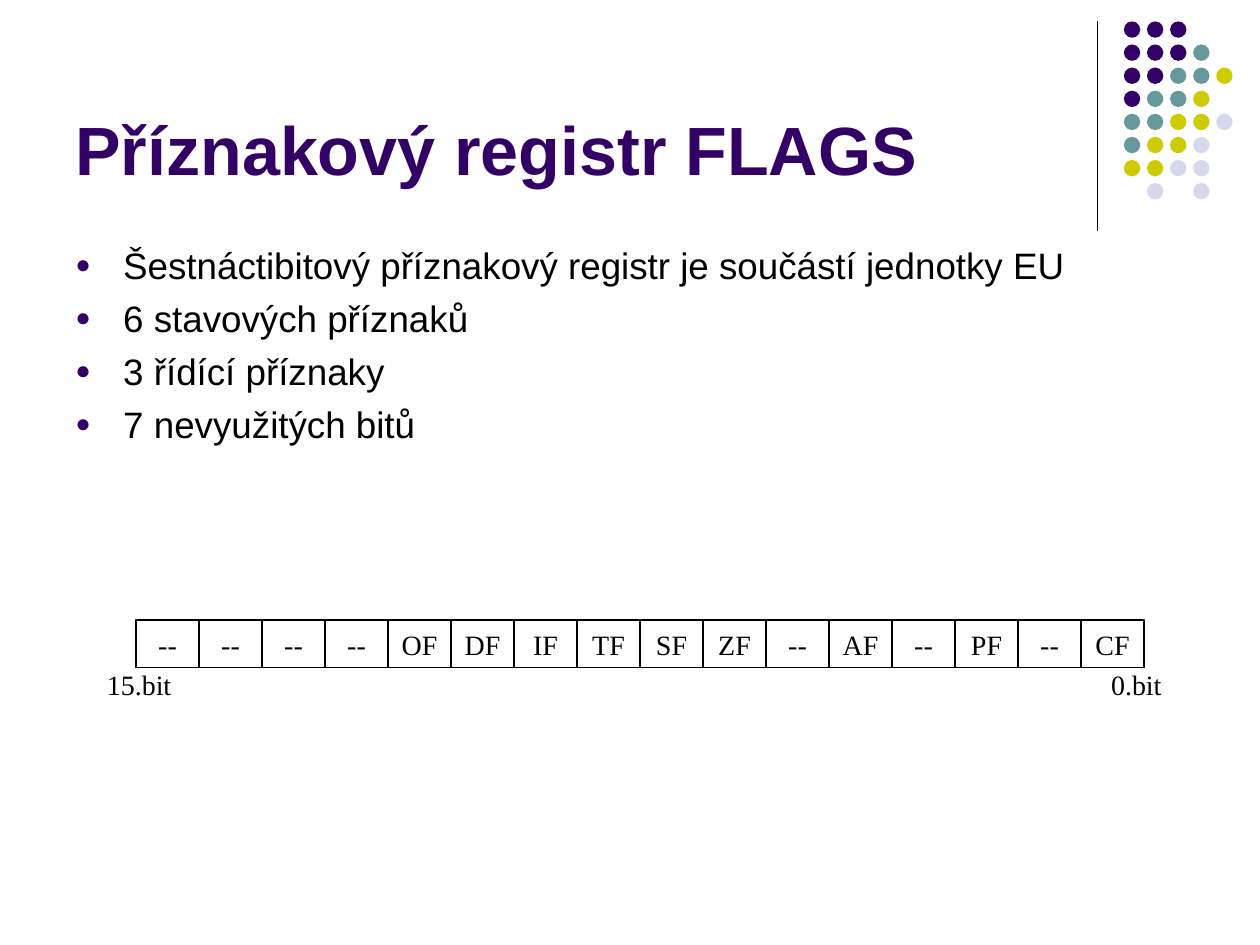
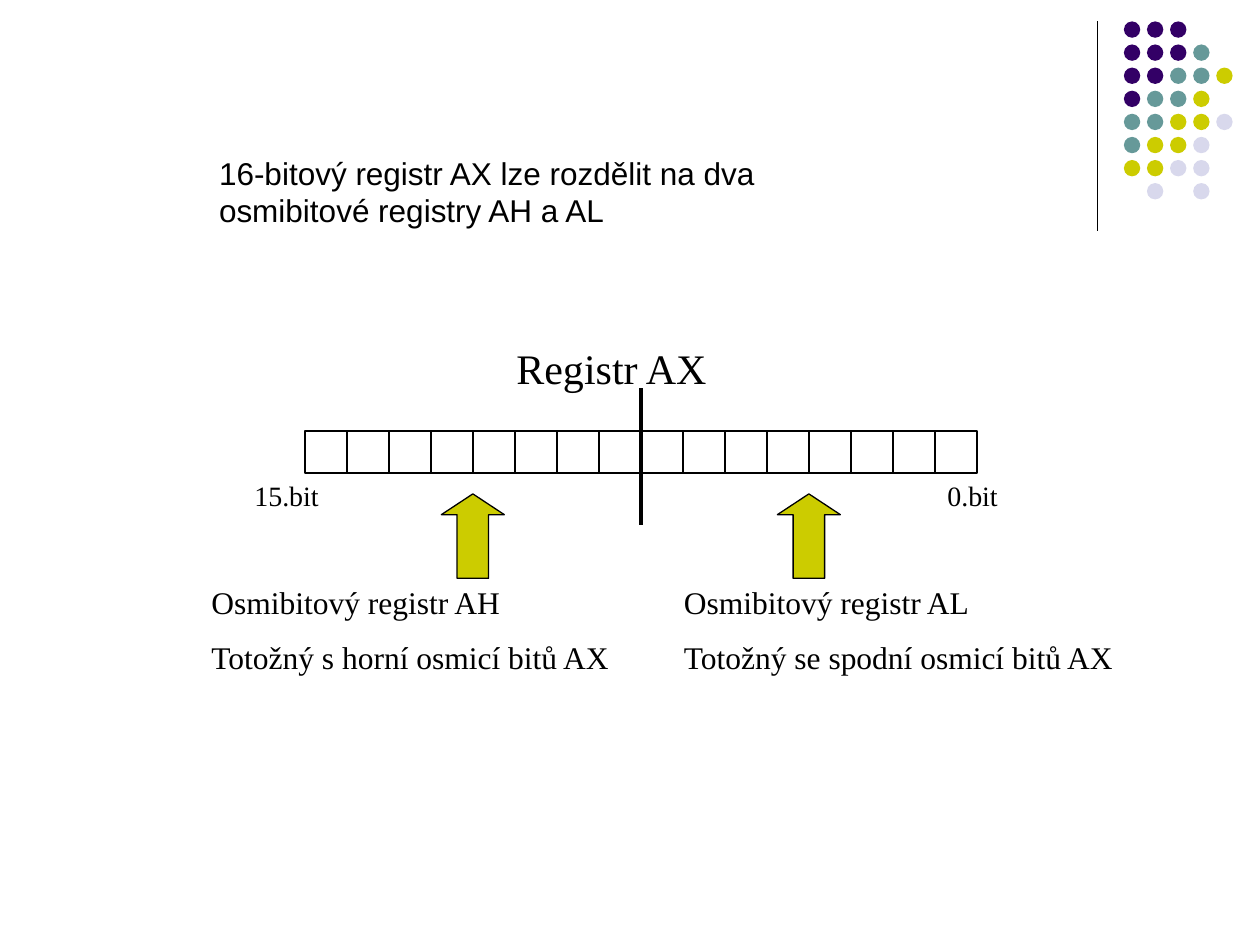
"""Builds two slides on the FLAGS register and the split of register AX."""
from lxml.etree import SubElement
from pptx import Presentation
from pptx.dml.color import RGBColor
from pptx.enum.shapes import MSO_CONNECTOR, MSO_SHAPE
from pptx.enum.text import MSO_ANCHOR, PP_ALIGN
from pptx.oxml.ns import qn
from pptx.util import Inches, Pt

SANS, SERIF = "Arial", "Times New Roman"
BLACK, PURPLE, TEAL, LIME, PALE = "000000", "330066", "669999", "CCCC00", "D8D8EC"

DOTS = ["PPP", "PPPT", "PPTTL", "PTTL", "TTLLG", "TLLG", "LLGG", " G G"]
TINTS = {"P": PURPLE, "T": TEAL, "L": LIME, "G": PALE}

TITLE = "Příznakový registr FLAGS"
POINTS = [
    "Šestnáctibitový příznakový registr je součástí jednotky EU",
    "6 stavových příznaků",
    "3 řídící příznaky",
    "7 nevyužitých bitů",
]
FLAGS = ["--", "--", "--", "--", "OF", "DF", "IF", "TF",
         "SF", "ZF", "--", "AF", "--", "PF", "--", "CF"]
FLAG_ENDS = [("15.bit", 0.75), ("0.bit", 8.72)]

INTRO = "16-bitový registr AX lze rozdělit na dva osmibitové registry AH a AL"
AX_NAME = "Registr AX"
AX_ENDS = [("15.bit", 1.92), ("0.bit", 7.42)]
HALVES = [
    (["Osmibitový registr AH", "Totožný s horní osmicí bitů AX"], 1.58, 3.58),
    (["Osmibitový registr AL", "Totožný se spodní osmicí bitů AX"], 5.33, 4.17),
]


def color(code):
    return RGBColor.from_string(code)


def write(frame, lines, size=16, font=SERIF, ink=BLACK, bold=False, gap=0,
          align=PP_ALIGN.LEFT, anchor=MSO_ANCHOR.TOP, wrap=True, bullet=None):
    frame.word_wrap = wrap
    frame.vertical_anchor = anchor
    for i, line in enumerate(lines):
        para = frame.paragraphs[0] if i == 0 else frame.add_paragraph()
        para.alignment = align
        para.space_before = Pt(gap if i else 0)
        run = para.add_run()
        run.text = line
        run.font.size, run.font.name, run.font.bold = Pt(size), font, bold
        run.font.color.rgb = color(ink)
        if bullet:
            mark(para, bullet)


def mark(para, tint):
    props = para._p.get_or_add_pPr()
    props.set("marL", str(Inches(0.38)))
    props.set("indent", str(-Inches(0.38)))
    SubElement(SubElement(props, qn("a:buClr")), qn("a:srgbClr"), val=tint)
    SubElement(props, qn("a:buSzPct"), val="70000")
    SubElement(props, qn("a:buFont"), typeface=SANS)
    SubElement(props, qn("a:buChar"), char="●")


def text(slide, lines, x, y, w, h, **style):
    box = slide.shapes.add_textbox(Inches(x), Inches(y), Inches(w), Inches(h))
    write(box.text_frame, lines, **style)


def draw(slide, kind, x, y, w, h, fill=None, edge=None):
    shape = slide.shapes.add_shape(kind, Inches(x), Inches(y), Inches(w), Inches(h))
    shape.shadow.inherit = False
    if fill:
        shape.fill.solid()
        shape.fill.fore_color.rgb = color(fill)
    else:
        shape.fill.background()
    if edge:
        shape.line.color.rgb = color(edge)
        shape.line.width = Pt(0.75)
    else:
        shape.line.fill.background()
    return shape


def rule(slide, x, top, end, width):
    line = slide.shapes.add_connector(
        MSO_CONNECTOR.STRAIGHT, Inches(x), Inches(top), Inches(x), Inches(end))
    line.line.color.rgb = color(BLACK)
    line.line.width = Pt(width)
    SubElement(line._element.spPr, qn("a:effectLst"))


def cells(slide, labels, x, y, w, h):
    for i, label in enumerate(labels):
        cell = draw(slide, MSO_SHAPE.RECTANGLE, x + i * w, y, w, h, edge=BLACK)
        if label:
            write(cell.text_frame, [label], align=PP_ALIGN.CENTER,
                  anchor=MSO_ANCHOR.MIDDLE, wrap=False)


def start(deck):
    slide = deck.slides.add_slide(deck.slide_layouts[6])
    rule(slide, 8.71, 0.17, 1.83, 0.75)
    step = 0.55 / 3
    for row, line in enumerate(DOTS):
        for col, key in enumerate(line):
            if key in TINTS:
                draw(slide, MSO_SHAPE.OVAL, 8.92 + col * step, 0.17 + row * step,
                     0.13, 0.13, fill=TINTS[key])
    return slide


def flags(deck):
    slide = start(deck)
    text(slide, [TITLE], 0.5, 0.13, 8.25, 1.42, size=39, font=SANS, ink=PURPLE,
         bold=True, anchor=MSO_ANCHOR.BOTTOM)
    text(slide, POINTS, 0.5, 1.88, 9, 2.23, size=21, font=SANS, gap=5, bullet=PURPLE)
    cells(slide, FLAGS, 1.08, 4.92, 0.5, 0.38)
    for label, x in FLAG_ENDS:
        text(slide, [label], x, 5.25, 0.75, 0.37)


def split(deck):
    slide = start(deck)
    left, side = 2.42, 1 / 3
    cells(slide, [""] * 16, left, 3.42, side, side)
    for label, x in AX_ENDS:
        text(slide, [label], x, 3.75, 1.08, 0.37)
    text(slide, [AX_NAME], 4, 2.67, 2.25, 0.5, size=24)
    rule(slide, left + 8 * side, 3.08, 4.17, 2)
    for i, (lines, x, w) in enumerate(HALVES):
        text(slide, lines, x, 4.58, w, 0.85, size=18, gap=9.5)
        mid = left + (4 + 8 * i) * side
        arrow = draw(slide, MSO_SHAPE.UP_ARROW, mid - 0.25, 3.92, 0.5, 0.67,
                     fill=LIME, edge=BLACK)
        arrow.adjustments[0], arrow.adjustments[1] = 0.5, 0.33
    text(slide, [INTRO], 1.64, 1.17, 4.73, 0.71, size=18, font=SANS)


def main():
    deck = Presentation()
    deck.slide_width, deck.slide_height = Inches(10), Inches(7.5)
    flags(deck)
    split(deck)
    deck.save("out.pptx")


if __name__ == "__main__":
    main()
